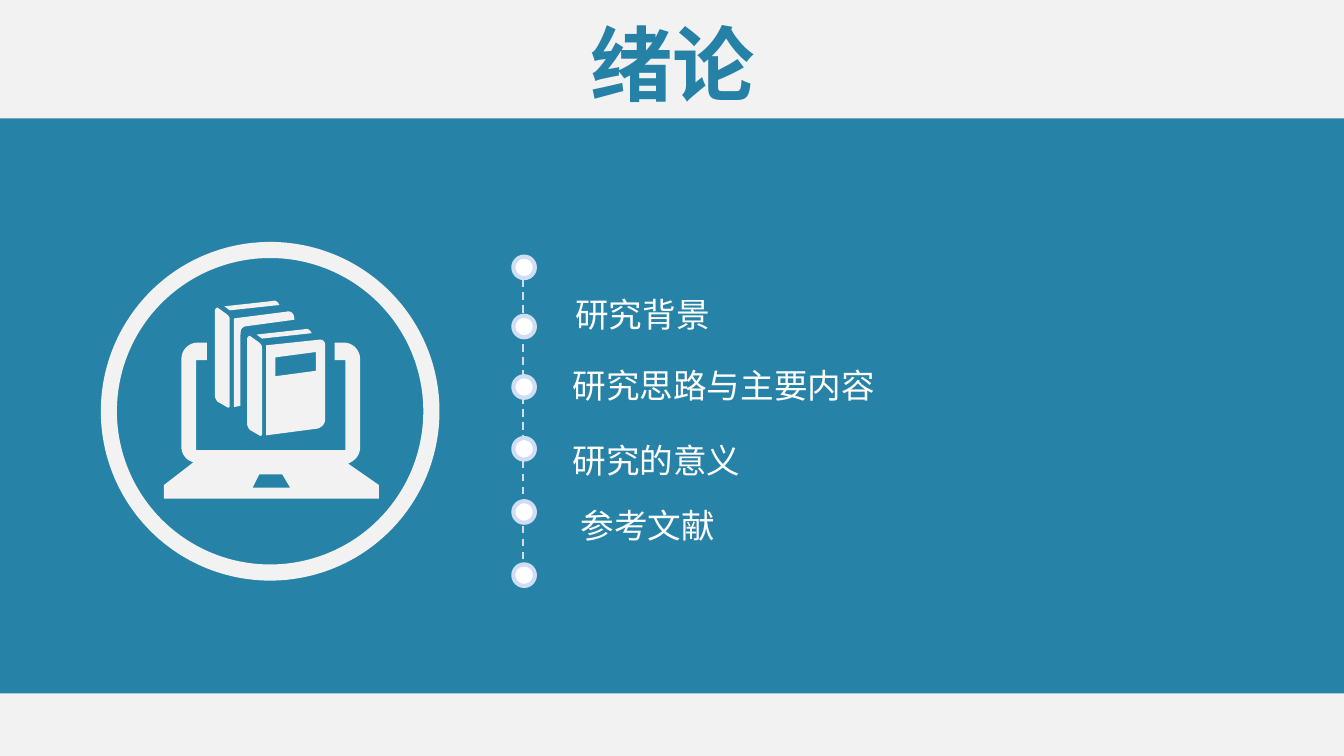
"""Build the introduction slide: title band, laptop icon, dotted timeline and topic list."""
from lxml.etree import SubElement
from pptx import Presentation
from pptx.dml.color import RGBColor
from pptx.enum.dml import MSO_LINE
from pptx.enum.shapes import MSO_CONNECTOR, MSO_SHAPE
from pptx.enum.text import MSO_ANCHOR, MSO_AUTO_SIZE, PP_ALIGN
from pptx.oxml.ns import qn
from pptx.util import Inches, Pt

THEME = {
    "font": "Noto Sans CJK SC",
    "paper": "F2F2F2", "band": "2782A7", "title": "2681A7",
    "white": "FFFFFF", "rail": "CFDEF3",
    "title_size": 44, "body_size": 18, "line_pitch": 35,
}
SLIDE_WIDTH = 10
SLIDE_HEIGHT = SLIDE_WIDTH * 9 / 16
TITLE = "绪论"
# Each topic: text, left indent in inches, space before in points.
TOPICS = [
    ("研究背景", 0.02, 0),
    ("研究思路与主要内容", 0, 3),
    ("研究的意义", 0, 5),
    ("参考文献", 0.06, 0),
]
DOT_X, DOT_SIZE = 3.82, 0.16
DOT_TOPS = [1.91, 2.35, 2.80, 3.26, 3.73, 4.20]
RING_BOX, RING_WIDTH = (0.75, 1.80, 2.52, 2.52), 0.12

# Contours in inches: pairs are corners, sextuples are cubic curves.
BOOK_TOP = [(1.67, 2.28), (1.71, 2.31), (2.08, 2.27),
            (2.07, 2.25, 2.05, 2.23, 2.03, 2.24)]
BOOK_SPINE = [(1.62, 2.29), (1.69, 2.34), (1.70, 2.35, 1.71, 2.36, 1.71, 2.38),
              (1.71, 3.02), (1.71, 3.03, 1.70, 3.04, 1.69, 3.03), (1.62, 2.99),
              (1.61, 2.98, 1.60, 2.96, 1.60, 2.95), (1.60, 2.31),
              (1.60, 2.30, 1.61, 2.29, 1.62, 2.29)]
BACK_COVER = [(1.74, 2.37), (2.13, 2.32), (2.16, 2.31, 2.19, 2.33, 2.19, 2.37),
              (2.19, 2.38), (1.82, 2.43), (1.80, 2.44, 1.79, 2.45, 1.79, 2.49),
              (1.79, 3.02), (1.74, 3.03)]
FRONT_COVER = [(1.98, 2.57), (2.36, 2.53), (2.40, 2.52, 2.42, 2.54, 2.42, 2.57),
               (2.42, 3.12), (2.42, 3.15, 2.40, 3.18, 2.36, 3.19), (1.98, 3.24)]
COVER_LABEL = [(2.05, 2.66), (2.35, 2.62), (2.35, 2.76), (2.05, 2.80)]
LAPTOP = [(1.46, 2.68), (1.54, 2.68), (1.54, 2.55), (1.47, 2.55),
          (1.40, 2.55, 1.35, 2.61, 1.35, 2.67), (1.35, 3.33),
          (1.35, 3.38, 1.39, 3.43, 1.44, 3.44), (1.22, 3.61), (1.22, 3.71),
          (2.82, 3.71), (2.82, 3.61), (2.59, 3.45),
          (2.64, 3.43, 2.68, 3.39, 2.68, 3.33), (2.68, 2.67),
          (2.68, 2.61, 2.63, 2.55, 2.56, 2.55), (2.49, 2.55), (2.49, 2.68),
          (2.57, 2.68), (2.57, 3.35), (1.46, 3.35)]
TOUCHPAD = [(1.93, 3.53), (2.10, 3.53), (2.16, 3.63), (1.88, 3.63)]
FRONT_BOOK_SHIFT = (0.24, 0.21)


def rgb(name):
    return RGBColor.from_string(THEME[name])


def shift(contour, dx, dy):
    return [tuple(v + (dy if i % 2 else dx) for i, v in enumerate(part))
            for part in contour]


def flatten(contour, steps=8):
    points = []
    for part in contour:
        if len(part) == 2:
            points.append(part)
            continue
        controls = [points[-1], part[:2], part[2:4], part[4:]]
        for t in (n / steps for n in range(1, steps + 1)):
            weights = ((1 - t) ** 3, 3 * t * (1 - t) ** 2, 3 * t * t * (1 - t), t ** 3)
            points.append(tuple(sum(w * c[axis] for w, c in zip(weights, controls))
                                for axis in (0, 1)))
    return [(Inches(x), Inches(y)) for x, y in points]


def paint(sp, fill, line=None, width=2.25):
    sp.shadow.inherit = False
    sp.fill.solid()
    sp.fill.fore_color.rgb = rgb(fill)
    if line:
        sp.line.color.rgb = rgb(line)
        sp.line.width = Pt(width)
    else:
        sp.line.fill.background()
    return sp


def add_shape(s, kind, box, fill, line=None):
    return paint(s.shapes.add_shape(kind, *map(Inches, box)), fill, line)


def add_outline(s, *contours):
    first, *others = [flatten(c) for c in contours]
    builder = s.shapes.build_freeform(*first[0])
    builder.add_line_segments(first[1:])
    for points in others:
        builder.move_to(*points[0])
        builder.add_line_segments(points[1:])
    paint(builder.convert_to_shape(), "paper")


def add_icon(s):
    ring = add_shape(s, MSO_SHAPE.DONUT, RING_BOX, "paper")
    ring.adjustments[0] = RING_WIDTH / RING_BOX[2]
    books = [c for book in (BOOK_TOP, BOOK_SPINE)
             for c in (book, shift(book, *FRONT_BOOK_SHIFT))]
    add_outline(s, LAPTOP, TOUCHPAD, BACK_COVER, FRONT_COVER, COVER_LABEL, *books)


def add_timeline(s):
    rail = s.shapes.add_connector(MSO_CONNECTOR.STRAIGHT, Inches(3.89), Inches(2.08),
                                  Inches(3.89), Inches(4.3))
    rail.line.color.rgb = rgb("rail")
    rail.line.width = Pt(1)
    rail.line.dash_style = MSO_LINE.DASH
    SubElement(rail._element.spPr, qn("a:effectLst"))
    for top in DOT_TOPS:
        add_shape(s, MSO_SHAPE.OVAL, (DOT_X, top, DOT_SIZE, DOT_SIZE), "white", "rail")


def place(sp, box, anchor):
    sp.left, sp.top, sp.width, sp.height = map(Inches, box)
    tf = sp.text_frame
    tf.word_wrap = True
    tf.auto_size = MSO_AUTO_SIZE.NONE
    tf.vertical_anchor = anchor
    return tf


def style(p, size, color, bold=False):
    for r in p.runs:
        r.font.size, r.font.bold = Pt(THEME[size]), bold
        r.font.name = THEME["font"]
        r.font.color.rgb = rgb(color)
        SubElement(r._r.get_or_add_rPr(), qn("a:ea"), typeface=THEME["font"])


def add_title(s):
    tf = place(s.shapes.title, (2.01, 0.05, 5.99, 0.83), MSO_ANCHOR.MIDDLE)
    tf.text = TITLE
    tf.paragraphs[0].alignment = PP_ALIGN.CENTER
    style(tf.paragraphs[0], "title_size", "title", bold=True)


def add_topics(s):
    tf = place(s.placeholders[1], (4.16, 1.95, 4.25, 2.11), MSO_ANCHOR.TOP)
    tf.text = "\n".join(text for text, _, _ in TOPICS)
    for p, (_, indent, before) in zip(tf.paragraphs, TOPICS):
        p.line_spacing = Pt(THEME["line_pitch"])
        p.space_before, p.space_after = Pt(before), Pt(0)
        pPr = p._p.get_or_add_pPr()
        pPr.set("marL", str(Inches(indent)))
        pPr.set("indent", "0")
        SubElement(pPr, qn("a:buNone"))
        style(p, "body_size", "white")


def main():
    prs = Presentation()
    prs.slide_width, prs.slide_height = Inches(SLIDE_WIDTH), Inches(SLIDE_HEIGHT)
    s = prs.slides.add_slide(prs.slide_layouts[1])
    s.background.fill.solid()
    s.background.fill.fore_color.rgb = rgb("paper")
    band = add_shape(s, MSO_SHAPE.RECTANGLE, (0, 0.88, SLIDE_WIDTH, 4.28), "band")
    s.shapes._spTree.insert(2, band._element)
    add_title(s)
    add_icon(s)
    add_timeline(s)
    add_topics(s)
    prs.save("out.pptx")


if __name__ == "__main__":
    main()
